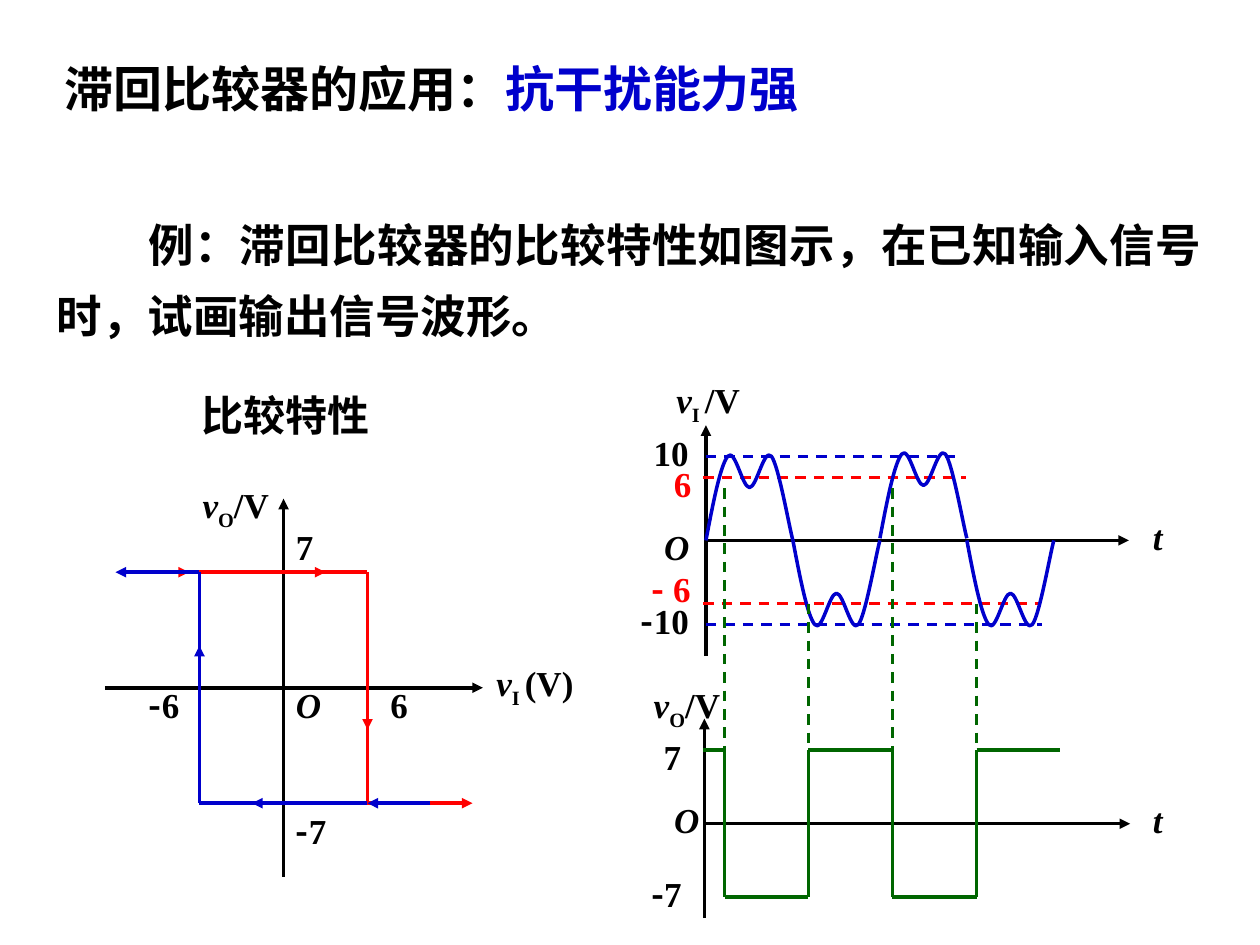
import pptx
import pptx.dml.color
import pptx.enum.dml
import pptx.enum.shapes
import pptx.enum.text
import pptx.oxml
import pptx.oxml.ns
import pptx.util

Pt = pptx.util.Pt
qn = pptx.oxml.ns.qn
BLACK, RED, BLUE, GREEN = "000000", "FF0000", "0000CC", "006600"
SERIF, CJK = "Times New Roman", "Noto Sans CJK SC"
ITALIC, SUB = {"italic": True}, {"baseline": -25000}
MINUS = ("-", {"name": CJK})
V_IN = [("v", ITALIC), ("I ", SUB)]
V_OUT = [("v", ITALIC), ("O", SUB), ("/V", {})]

# Control points (dx, height) of four cubic segments from the origin
HALF_WAVE = [(4.1, 21.6), (8.3, 43), (12.5, 48.1),
             (16.6, 53.1), (20.8, 30.2), (24.9, 30.2),
             (29, 30.2), (33.2, 53.1), (37.4, 48.1),
             (41.5, 43), (47.5, 8), (49.7, 0)]


def rgb(color):
    return pptx.dml.color.RGBColor.from_string(color)


def add_child(parent, tag, **attrs):
    child = parent.makeelement(qn(tag), attrs)
    parent.append(child)
    return child


def add_text(s, x, y, w, h, runs, size=20, color=BLACK, wrap=False,
             grow=True, **paragraph):
    """Text box; runs are (text, format values that differ)."""
    tf = s.shapes.add_textbox(Pt(x), Pt(y), Pt(w), Pt(h)).text_frame
    tf.word_wrap = wrap
    if grow:
        tf.auto_size = pptx.enum.text.MSO_AUTO_SIZE.SHAPE_TO_FIT_TEXT
    p = tf.paragraphs[0]
    for key, value in paragraph.items():
        setattr(p, key, value)
    for text, changes in runs:
        values = {"size": Pt(size), "bold": True, "name": SERIF} | changes
        baseline = values.pop("baseline", None)
        r = p.add_run()
        r.text = text
        r.font.color.rgb = rgb(values.pop("color", color))
        for key, value in values.items():
            setattr(r.font, key, value)
        props = r.font._element
        if baseline:
            props.set("baseline", str(baseline))
        add_child(props, "a:ea", typeface=CJK)
    return p


def add_line(s, x1, y1, x2, y2, color, dash=False, arrow=False):
    sp = s.shapes.add_connector(pptx.enum.shapes.MSO_CONNECTOR.STRAIGHT,
                                Pt(x1), Pt(y1), Pt(x2), Pt(y2))
    sp.line.color.rgb = rgb(color)
    sp.line.width = Pt(1.5 if dash else 2)
    if dash:
        sp.line.dash_style = pptx.enum.dml.MSO_LINE.DASH
    if arrow:
        add_child(sp.line._get_or_add_ln(), "a:tailEnd", type="triangle")
    add_child(sp._element.spPr, "a:effectLst")


def add_half_wave(s, x, y, sign):
    builder = s.shapes.build_freeform(Pt(x), Pt(y), scale=1.0)
    builder.add_line_segments([(Pt(x + dx), Pt(y - sign * dy))
                               for dx, dy in HALF_WAVE], close=False)
    sp = builder.convert_to_shape()
    sp.shadow.inherit = False
    sp.fill.background()
    sp.line.color.rgb = rgb(BLUE)
    sp.line.width = Pt(2)

    # Turn each three line segments into one cubic segment
    segments = list(sp._element.iter(qn("a:lnTo")))
    outline = segments[0].getparent()
    for i in range(0, len(segments), 3):
        curve = add_child(outline, "a:cubicBezTo")
        for segment in segments[i:i + 3]:
            curve.append(segment[0])
            outline.remove(segment)


def draw_characteristic(s):
    x0, y0 = 162, 393
    left, right, top, bottom = x0 - 48, x0 + 48, y0 - 66, y0 + 66

    # Axes
    add_line(s, x0, 501, x0, 285, BLACK, arrow=True)
    add_line(s, 60, y0, 276, y0, BLACK, arrow=True)

    # Hysteresis loop
    add_line(s, left, top, right, top, RED)
    add_line(s, right, top, right, bottom, RED)
    add_line(s, left, bottom, right, bottom, BLUE)
    add_line(s, left, top, left, bottom, BLUE)

    # Direction arrows
    for x1, y1, x2, y2, color in [
            (78, top, 108, top, RED), (144, top, 186, top, RED),
            (right, 375, right, 417, RED), (right, bottom, 270, bottom, RED),
            (246, bottom, right, bottom, BLUE), (180, bottom, 144, bottom, BLUE),
            (left, 405, left, 369, BLUE), (left, top, 66, top, BLUE)]:
        add_line(s, x1, y1, x2, y2, color, arrow=True)

    # Labels
    add_text(s, 108, 219, 120, 36, [("比较特性", {})], size=24, wrap=True)
    add_text(s, 276.5, 374.6, 58.3, 34.6, V_IN + [("(V)", {})])
    add_text(s, 108.7, 273, 52.6, 34.6, V_OUT)
    for x, y, w, runs in [(x0, 387, 30, [("O", ITALIC)]),
                          (x0, 297, 54, [("7", {})]),
                          (x0, 459, 54, [MINUS, ("7", {})]),
                          (78, 387, 54, [MINUS, ("6", {})]),
                          (216, 387, 36, [("6", {})])]:
        add_text(s, x, y, w, 31.7, runs, wrap=True)


def draw_input(s):
    x0, y0 = 403.4, 308.8
    add_line(s, x0, 375, x0, 243, BLACK, arrow=True)
    add_line(s, x0, y0, 645.1, y0, BLACK, arrow=True)

    # Peak and threshold levels
    for x1, x2, y, color in [(x0, 546, 260.8, BLUE), (x0, 595.6, 356.8, BLUE),
                             (402, 552, 272.8, RED), (402, 594, 344.8, RED)]:
        add_line(s, x1, y, x2, y, color, dash=True)

    # Input signal; the third half wave sits slightly higher
    for i, lift in enumerate([0, 0, 1.2, 0]):
        add_half_wave(s, x0 + i * HALF_WAVE[-1][0], y0 - lift, (-1) ** i)

    # Labels
    add_text(s, 379.4, 212.7, 52, 34.6, V_IN + [("/V", {})])
    for x, y, w, runs, color in [(651.7, 291, 19.4, [("t", ITALIC)], BLACK),
                                 (372.4, 297, 31, [("O", ITALIC)], BLACK),
                                 (366.4, 243, 34.6, [("10", {})], BLACK),
                                 (359.1, 339, 46.1, [MINUS, ("10", {})], BLACK),
                                 (378, 260.8, 24.5, [("6", {})], RED),
                                 (365.2, 320.8, 41, [MINUS, (" 6", {})], RED)]:
        add_text(s, x, y, w, 31.7, runs, color=color)


def draw_output(s):
    x0, y0, high, low = 402.5, 470.7, 428.7, 512.7
    add_line(s, x0, 524.7, x0, 410.7, BLACK, arrow=True)
    add_line(s, x0, y0, 645.8, y0, BLACK, arrow=True)

    # Switching edges with guides up to the input signal
    edges = [414 + 48 * i for i in range(4)]
    for i, x in enumerate(edges):
        guide = (345, low) if i % 2 else (279, high)
        add_line(s, x, guide[0], x, guide[1], GREEN, dash=True)
        add_line(s, x, high, x, low, GREEN)

    # Flat levels between edges
    stops = [402, *edges, 606]
    for i, (x1, x2) in enumerate(zip(stops, stops[1:])):
        y = low if i % 2 else high
        add_line(s, x1, y, x2, y, GREEN)

    # Labels
    add_text(s, 366.5, 387, 52.6, 34.6, V_OUT)
    for x, y, w, runs in [(651.7, 453, 19.4, [("t", ITALIC)]),
                          (378.2, 453, 30.2, [("O", ITALIC)]),
                          (372.2, 417, 24.5, [("7", {})]),
                          (365, 495, 36, [MINUS, ("7", {})])]:
        add_text(s, x, y, w, 31.7, runs)


def main():
    prs = pptx.Presentation()
    prs.slide_width, prs.slide_height = Pt(720), Pt(540)
    s = prs.slides.add_slide(prs.slide_layouts[6])

    # Title and task
    add_text(s, 30, 30, 580, 48,
             [("滞回比较器的应用：", {}), ("抗干扰能力强", {"color": BLUE})],
             size=28, wrap=True, grow=False)
    p = add_text(s, 25.3, 111, 669, 88.6,
                 [("例：滞回比较器的比较特性如图示，在已知输入信号时，"
                   "试画输出信号波形。", {})],
                 size=26, wrap=True, line_spacing=1.3,
                 alignment=pptx.enum.text.PP_ALIGN.JUSTIFY)
    p._p.get_or_add_pPr().set("indent", str(Pt(52.4)))

    draw_characteristic(s)
    draw_input(s)
    draw_output(s)
    prs.save("out.pptx")


if __name__ == "__main__":
    main()
